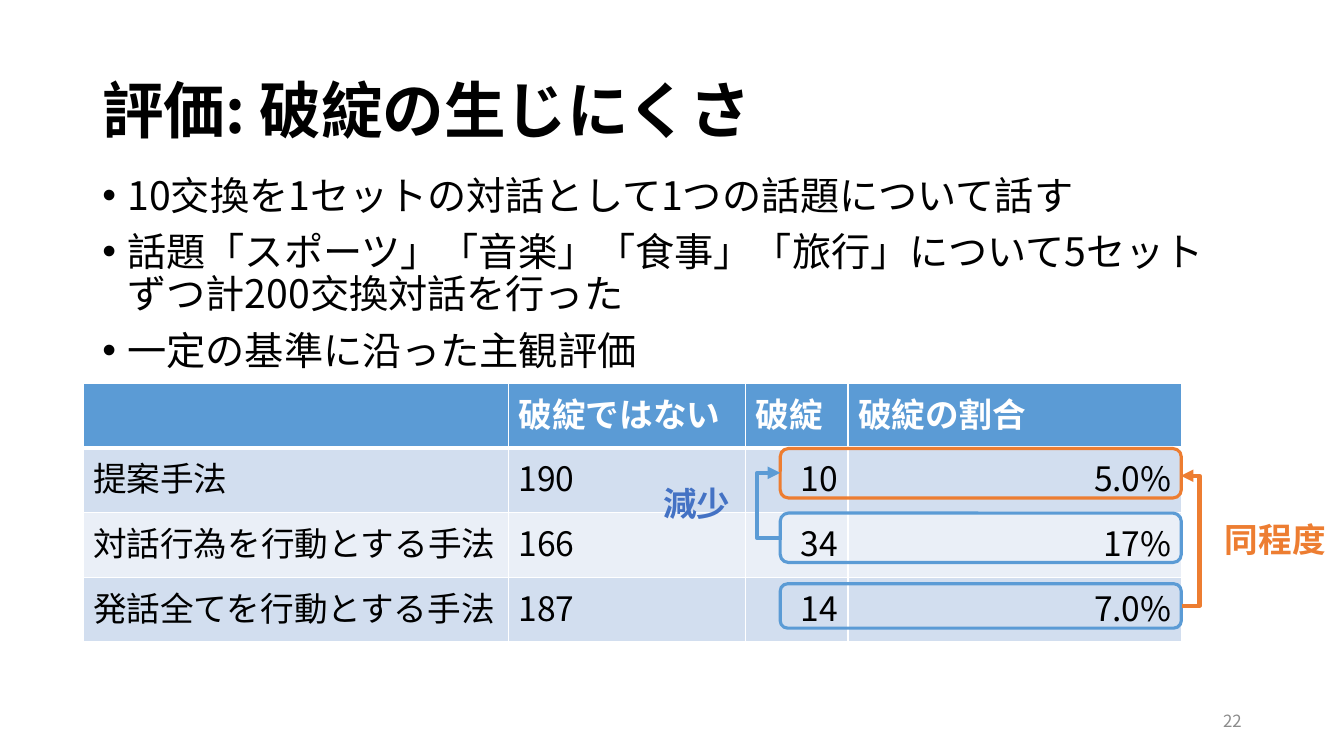
from dataclasses import dataclass
from lxml import etree
from pptx import Presentation
from pptx import util as u
from pptx.dml.color import RGBColor
from pptx.enum import shapes, text
from pptx.oxml.ns import qn

Pt = u.Pt


@dataclass(frozen=True)
class Theme:
    """Colours, type sizes and font of the slide."""
    font: str = "Noto Sans CJK JP"
    black: str = "000000"
    white: str = "FFFFFF"
    grey: str = "8C8C8C"
    blue: str = "5B9BD5"
    deep: str = "4472C4"
    orange: str = "ED7D31"
    odd: str = "D2DEEF"
    even: str = "EAEFF7"
    title: int = 44
    body: int = 28
    cell: int = 24
    foot: int = 12


T = Theme()
LEFT, MID, RIGHT = text.PP_ALIGN.LEFT, text.PP_ALIGN.CENTER, text.PP_ALIGN.RIGHT
ROWS = [
    ("", "破綻ではない", "破綻", "破綻の割合"),
    ("提案手法", "190", "10", "5.0%"),
    ("対話行為を行動とする手法", "166", "34", "17%"),
    ("発話全てを行動とする手法", "187", "14", "7.0%"),
]
POINTS = [
    "10交換を1セットの対話として1つの話題について話す",
    "話題「スポーツ」「音楽」「食事」「旅行」について5セットずつ計200交換対話を行った",
    "一定の基準に沿った主観評価",
]


def apply(obj, vals):
    """Set each named attribute of an object."""
    for key, val in vals.items():
        setattr(obj, key, val)


def node(top, tag, **vals):
    """Add an XML child with attributes."""
    return etree.SubElement(top, qn(tag), {k: str(v) for k, v in vals.items()})


def paint(fill, tint):
    """Give a fill one solid colour."""
    fill.solid()
    fill.fore_color.rgb = RGBColor.from_string(tint)


def stroke(line, tint, width):
    """Give a line its colour and width."""
    paint(line.fill, tint)
    line.width = Pt(width)


def write(par, words, size, tint, bold=False, **form):
    """Write one run into a paragraph."""
    run = par.add_run()
    run.text = words
    apply(run.font, {"size": Pt(size), "bold": bold, "name": T.font})
    run.font.color.rgb = RGBColor.from_string(tint)
    node(run.font._element, "a:ea", typeface=T.font)
    apply(par, form)


def box(slide, place, anchor=text.MSO_ANCHOR.MIDDLE):
    """Add a wrapping text box and return its frame."""
    frame = slide.shapes.add_textbox(*map(Pt, place)).text_frame
    apply(frame, {"word_wrap": True, "vertical_anchor": anchor})
    return frame


def bullets(slide, place, items):
    """Add a bulleted list."""
    frame = box(slide, place, text.MSO_ANCHOR.TOP)
    for i, item in enumerate(items):
        par = frame.add_paragraph() if i else frame.paragraphs[0]
        write(par, item, T.body, T.black, line_spacing=0.9, space_before=Pt(10))
        props = par._p.get_or_add_pPr()
        apply_ind = {"marL": Pt(18), "indent": -Pt(18)}
        for key, val in apply_ind.items():
            props.set(key, str(val))
        node(props, "a:buFont", typeface="Arial")
        node(props, "a:buChar", char="•")


def border(cell, row):
    """Draw white cell borders, heavy below the header."""
    props = cell._tc.get_or_add_tcPr()
    heavy = {"T": row == 1, "B": row == 0}
    for side in "LRTB":
        edge = node(props, "a:ln" + side, w=Pt(3 if heavy.get(side) else 1))
        node(node(edge, "a:solidFill"), "a:srgbClr", val=T.white)


def grid(slide, place, cols, rows):
    """Add the banded results table."""
    table = slide.shapes.add_table(len(rows), len(cols), *map(Pt, place)).table
    for col, width in zip(table.columns, cols):
        col.width = Pt(width)
    for r, row in enumerate(rows):
        for c, words in enumerate(row):
            cell = table.cell(r, c)
            border(cell, r)
            paint(cell.fill, T.blue if r == 0 else T.odd if r % 2 else T.even)
            if words:
                write(cell.text_frame.paragraphs[0], words, T.cell,
                      T.black if r else T.white, r == 0,
                      alignment=RIGHT if r and c > 1 else LEFT)


def frame(slide, place, tint):
    """Add a rounded outline around a pair of results."""
    shape = slide.shapes.add_shape(
        shapes.MSO_SHAPE.ROUNDED_RECTANGLE, *map(Pt, place))
    shape.shadow.inherit = False
    shape.fill.background()
    stroke(shape.line, tint, 2.25)


def elbow(slide, x, low, high, reach, tint):
    """Add a bent arrow going up, reaching sideways from x."""
    span = 1
    link = slide.shapes.add_connector(
        shapes.MSO_CONNECTOR.ELBOW, *map(Pt, (x, high, x + span, low)))
    stroke(link.line, tint, 3)
    props = link._element.spPr
    props.find(qn("a:xfrm")).set("rot", "10800000")
    bend = props.find(qn("a:prstGeom")).find(qn("a:avLst"))
    ratio = round((span - reach) / span * 100000)
    node(bend, "a:gd", name="adj1", fmla=f"val {ratio}")
    node(props.find(qn("a:ln")), "a:tailEnd", type="triangle")
    node(props, "a:effectLst")


def label(slide, place, words, size, tint, bold=False, **form):
    """Add a single line of text."""
    write(box(slide, place).paragraphs[0], words, size, tint, bold, **form)


def main():
    """Build and save the slide."""
    deck = Presentation()
    apply(deck, {"slide_width": Pt(960), "slide_height": Pt(540)})
    slide = deck.slides.add_slide(deck.slide_layouts[6])
    label(slide, (66, 28.8, 828, 104.4), "評価: 破綻の生じにくさ",
          T.title, T.black, True, line_spacing=0.9)
    grid(slide, (59.3, 273.6, 784.8, 185), (304, 169.2, 73.3, 238.3), ROWS)
    bullets(slide, (66, 122.4, 828, 174), POINTS)
    for top, high, tint in ((366.5, 35.3, T.blue), (417, 31.7, T.blue),
                            (320.4, 35.3, T.orange)):
        frame(slide, (557.3, top, 286.5, high), tint)
    elbow(slide, 557.3, 384.5, 337.7, -16.5, T.blue)
    elbow(slide, 843.4, 432.7, 339.8, 13.5, T.orange)
    for place, words, tint in (((460, 342, 75.6, 35.3), "減少", T.deep),
                               ((862, 365.8, 98, 38), "同程度", T.orange)):
        label(slide, place, words, T.cell, tint, True, alignment=MID)
    label(slide, (678, 500.5, 216, 28.8), "22", T.foot, T.grey, alignment=RIGHT)
    deck.save("out.pptx")


main()
